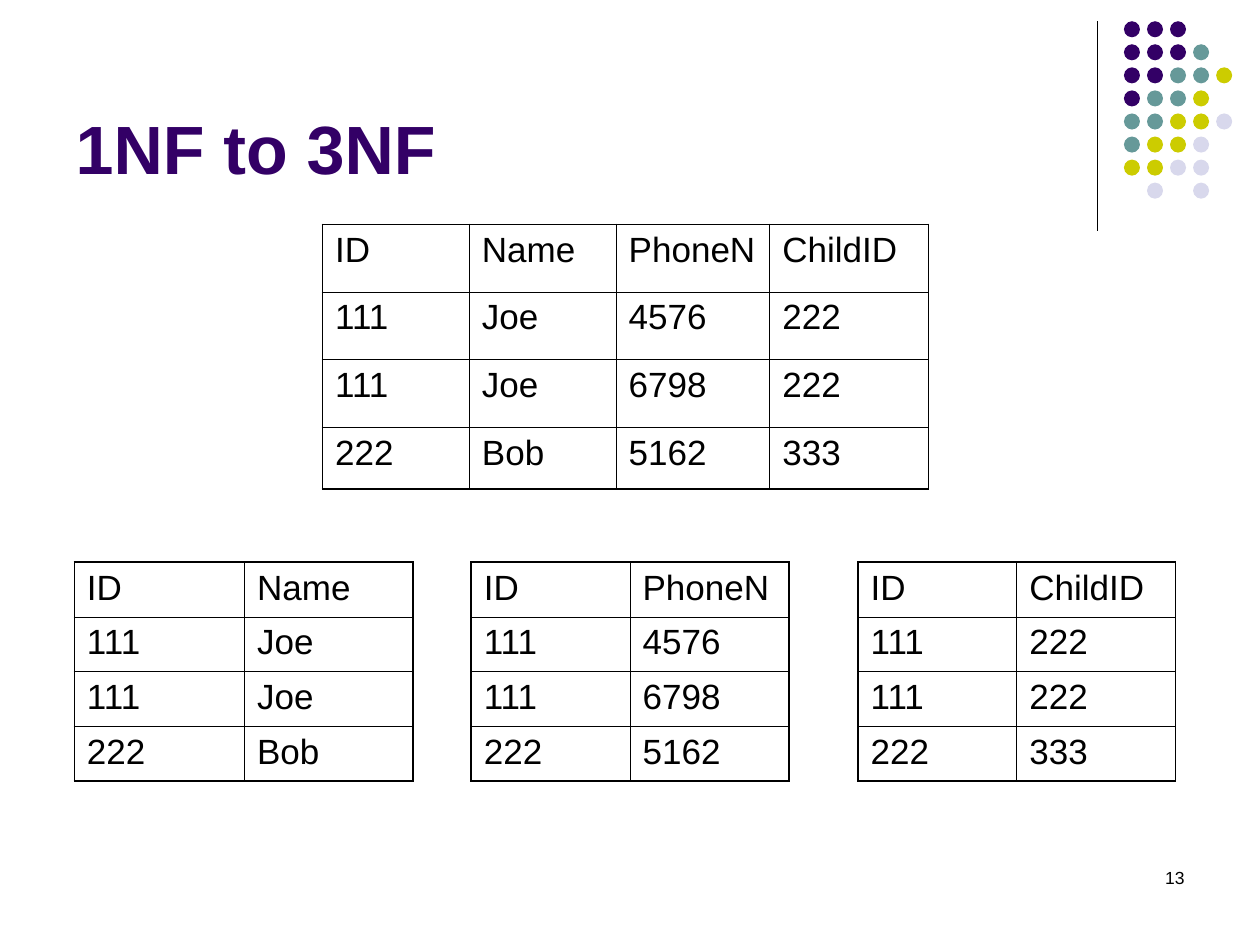
"""Build the slide "1NF to 3NF": one table split into three smaller ones."""
from lxml import etree
from pptx import Presentation
from pptx.dml.color import RGBColor
from pptx.enum.shapes import MSO_CONNECTOR, MSO_SHAPE
from pptx.enum.text import MSO_ANCHOR, MSO_AUTO_SIZE, PP_ALIGN
from pptx.oxml import parse_xml
from pptx.oxml.ns import nsdecls, qn
from pptx.util import Inches, Pt

STRAIGHT, OVAL = MSO_CONNECTOR.STRAIGHT, MSO_SHAPE.OVAL
LEFT, RIGHT = PP_ALIGN.LEFT, PP_ALIGN.RIGHT
TOP, BOTTOM = MSO_ANCHOR.TOP, MSO_ANCHOR.BOTTOM
NO_FIT = MSO_AUTO_SIZE.NONE
OUTER, INNER = 1.08, 0.45

rgb = RGBColor.from_string


def put_text(tf, text, size=20, color="000000", bold=False, align=LEFT, before=0):
    p = tf.paragraphs[0]
    p.alignment = align
    p.space_before = Pt(before)
    r = p.add_run()
    r.text = text
    r.font.name = "Arial"
    r.font.size = Pt(size)
    r.font.bold = bold
    r.font.color.rgb = rgb(color)


def set_borders(cell, widths):
    tcPr = cell._tc.get_or_add_tcPr()
    for i, (side, width) in enumerate(zip("LRTB", widths)):
        tcPr.insert(i, parse_xml(
            f'<a:ln{side} {nsdecls("a")} w="{Pt(width)}"><a:solidFill>'
            f'<a:srgbClr val="000000"/></a:solidFill></a:ln{side}>'))


prs = Presentation()
prs.slide_width, prs.slide_height = Inches(10), Inches(7.5)
X, Y = prs.slide_width / 100, prs.slide_height / 100
s = prs.slides.add_slide(prs.slide_layouts[5])

title = s.shapes.title
title.left, title.top = int(5 * X), int(1.7 * Y)
title.width, title.height = int(82.5 * X), int(18.9 * Y)
tf = title.text_frame
tf.vertical_anchor = BOTTOM
tf.auto_size = NO_FIT
put_text(tf, "1NF to 3NF", size=39, color="330066", bold=True)

line = s.shapes.add_connector(STRAIGHT, int(87.1 * X), int(2.25 * Y), int(87.1 * X), int(24.4 * Y))
line.line.width = Pt(0.75)
line.line.color.rgb = rgb("000000")
etree.SubElement(line._element.spPr, qn("a:effectLst"))

dot_colors = {"P": "330066", "T": "669999", "Y": "CCCC00", "L": "D8D8EC"}
dot_rows = ["PPP", "PPPT", "PPTTY", "PTTY", "TTYYL", "TYYL", "YYLL", ".L.L"]
dots = s.shapes.add_group_shape()
for row, marks in enumerate(dot_rows):
    for col, mark in enumerate(marks):
        if mark in dot_colors:
            dot = dots.shapes.add_shape(
                OVAL, int((89.2 + 1.83 * col) * X), int((2.25 + 2.44 * row) * Y),
                int(1.27 * X), int(1.7 * Y))
            dot.shadow.inherit = False
            dot.fill.solid()
            dot.fill.fore_color.rgb = rgb(dot_colors[mark])
            dot.line.fill.background()

people = [
    ["ID", "Name", "PhoneN", "ChildID"],
    ["111", "Joe", "4576", "222"],
    ["111", "Joe", "6798", "222"],
    ["222", "Bob", "5162", "333"],
]
small_rows = [5.78] * 4
tables = [
    (5.9, 59.5, [0, 1], [13.5, 13.4], small_rows),
    (37.4, 59.5, [0, 2], [12.6, 12.6], small_rows),
    (68.1, 59.5, [0, 3], [12.6, 12.6], small_rows),
    (25.6, 23.75, [0, 1, 2, 3], [11.65, 11.65, 12.2, 12.6], [7.15, 7.15, 7.15, 6.55]),
]
for left, top, fields, widths, heights in tables:
    last_row, last_col = len(heights) - 1, len(fields) - 1
    table = s.shapes.add_table(
        len(heights), len(fields), int(left * X), int(top * Y),
        int(sum(widths) * X), int(sum(heights) * Y)).table
    table.first_row = table.horz_banding = False
    for column, width in zip(table.columns, widths):
        column.width = int(width * X)
    for row, height in enumerate(heights):
        table.rows[row].height = int(height * Y)
        for col, field in enumerate(fields):
            cell = table.cell(row, col)
            cell.fill.background()
            cell.vertical_anchor = TOP
            put_text(cell.text_frame, people[row][field], before=5)
            edges = (col == 0, col == last_col, row == 0, row == last_row)
            set_borders(cell, [OUTER if edge else INNER for edge in edges])

number = s.shapes.add_textbox(int(71.7 * X), int(91.1 * Y), int(23.3 * X), int(6.67 * Y))
number.text_frame.word_wrap = True
put_text(number.text_frame, "13", size=10, align=RIGHT)

prs.save("out.pptx")
